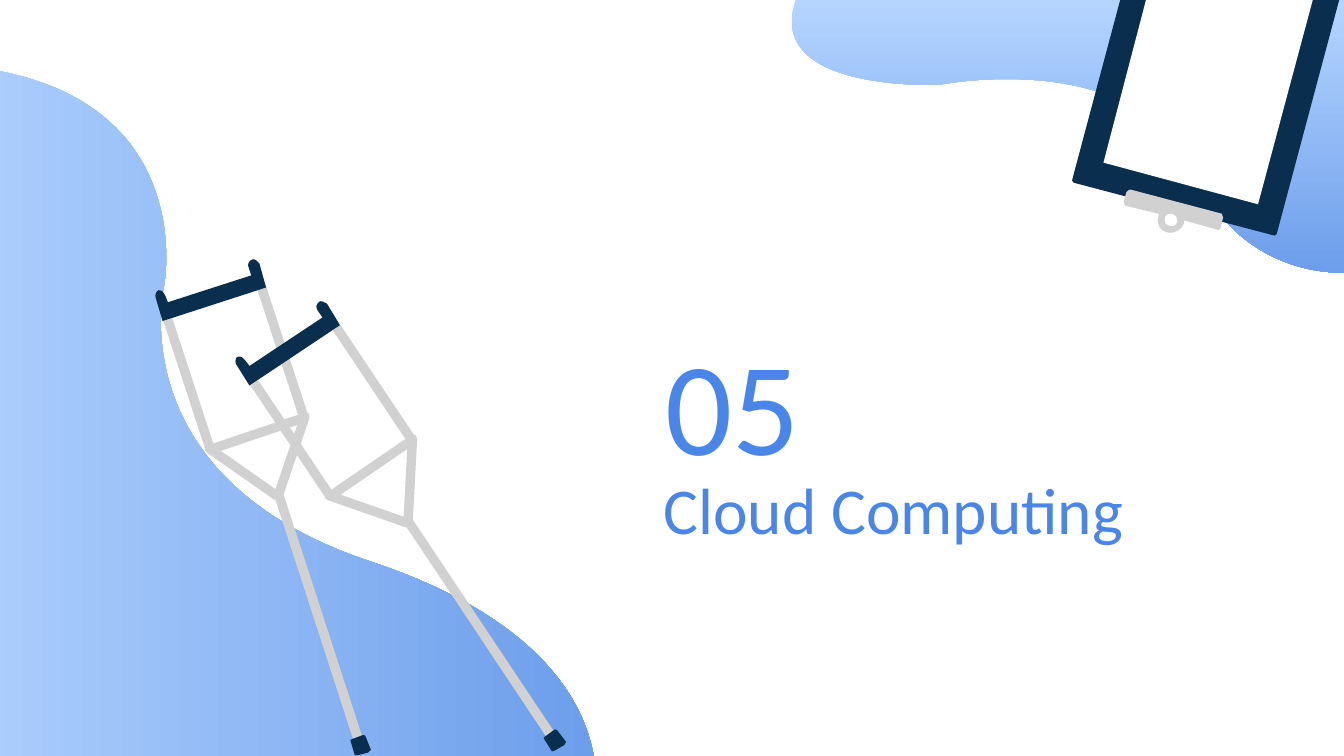
from math import atan2, cos, degrees, radians, sin

from lxml import etree
from pptx import Presentation
from pptx.dml.color import RGBColor
from pptx.enum.text import MSO_ANCHOR, PP_ALIGN
from pptx.oxml.ns import qn
from pptx.util import Cm, Pt

TOP = MSO_ANCHOR.TOP
LEFT = PP_ALIGN.LEFT

COLORS = {"title": "4A86E8", "light": "B5D5FF", "deep": "6D9EEB",
          "navy": "0A2E4E", "grey": "D1D1D1", "white": "FFFFFF"}
UNIT = 2.54       # one layout unit in centimetres
CURVE_STEPS = 16  # samples used to measure a curve
CLIPBOARD_TURN = 195

# Contours: a start point, then line ends (x, y) or curves (two controls, end)
LEFT_BLOB = [(4.42, 5.64), (4.36, 5.28, 4.08, 4.62, 2.76, 4.18),
             (0.88, 3.56, 1.22, 2.13, 1.22, 2.13),
             (1.22, 2.13, 1.56, 0.36, -0.86, 0.48), (-0.86, 5.63)]
TOP_BLOB = [(10, 2.03), (9.69, 2.03, 9.17, 1.91, 8.88, 1.28),
            (8.46, 0.34, 6.99, 0.63, 6.99, 0.63),
            (6.99, 0.63, 5.68, 0.69, 5.92, 0), (10, 0)]
HANDLE = [(1.89, 1.93), (1.9, 1.93, 1.92, 1.95, 1.93, 1.96), (1.98, 2.14),
          (1.21, 2.39), (1.16, 2.22), (1.15, 2.2, 1.16, 2.17, 1.18, 2.16),
          (1.21, 2.16, 1.22, 2.18, 1.23, 2.2), (1.25, 2.25), (1.87, 2.05),
          (1.85, 1.99), (1.84, 1.97, 1.85, 1.94, 1.88, 1.93)]
FOOT = [(2.71, 5.47), (2.72, 5.47, 2.72, 5.47, 2.72, 5.48), (2.76, 5.58),
        (2.76, 5.58, 2.75, 5.59, 2.74, 5.6), (2.66, 5.62),
        (2.65, 5.62, 2.64, 5.62, 2.64, 5.62), (2.61, 5.52),
        (2.6, 5.51, 2.61, 5.5, 2.62, 5.5), (2.7, 5.47)]
BOARD = [(7.99, 1.36), (7.98, 1.35, 7.97, 1.34, 7.98, 1.33), (8.46, -0.47),
         (8.46, -0.48, 8.47, -0.48, 8.48, -0.48), (9.96, -0.08),
         (9.98, -0.08, 9.98, -0.07, 9.98, -0.06), (9.5, 1.74),
         (9.49, 1.75, 9.48, 1.76, 9.47, 1.75)]
PAPER = [(8.21, 1.21), (8.61, -0.32), (9.77, -0.01), (9.36, 1.52)]
CLASP_HOLE = [(8.7, 1.68), (8.72, 1.69, 8.75, 1.68, 8.76, 1.65),
              (8.76, 1.62, 8.75, 1.6, 8.72, 1.59),
              (8.68, 1.58, 8.65, 1.62, 8.67, 1.66),
              (8.68, 1.67, 8.69, 1.68, 8.7, 1.68)]
CLASP = [(8.69, 1.73), (8.63, 1.72, 8.6, 1.66, 8.62, 1.61),
         (8.62, 1.6, 8.62, 1.6, 8.62, 1.59), (8.37, 1.53),
         (8.36, 1.52, 8.36, 1.51, 8.36, 1.5), (8.38, 1.43),
         (8.39, 1.42, 8.4, 1.41, 8.41, 1.41), (9.09, 1.59),
         (9.1, 1.6, 9.1, 1.61, 9.1, 1.62), (9.08, 1.7),
         (9.08, 1.71, 9.07, 1.71, 9.06, 1.71), (8.81, 1.64),
         (8.81, 1.65, 8.81, 1.65, 8.81, 1.66),
         (8.79, 1.71, 8.74, 1.74, 8.69, 1.73)]

# Crutch bars: start, end
RAILS = [((1.95, 2.15), (2.26, 3.1)), ((1.25, 2.38), (1.56, 3.33)),
         ((2.07, 3.67), (2.68, 5.55))]
BRACES = [((2.27, 3.1), (2.07, 3.69)), ((1.56, 3.34), (2.06, 3.69)),
          ((1.58, 3.34), (2.26, 3.11))]
BAR_WIDTH = 0.07
CRUTCH_PIVOT = (1.98, 2.14)
# Each crutch: turn about the pivot, then shift
CRUTCHES = [(0, (0, 0)), (-15.7, (0.55, 0.28))]


def length(value):
    return Cm(value * UNIT)


def color(name):
    return RGBColor.from_string(COLORS[name])


def pairs(segment):
    return list(zip(segment[::2], segment[1::2]))


def turn(point, pivot, angle):
    x, y = point[0] - pivot[0], point[1] - pivot[1]
    c, s = cos(radians(angle)), sin(radians(angle))
    return pivot[0] + x * c - y * s, pivot[1] + x * s + y * c


def move(contour, pivot, angle, shift=(0, 0)):
    """Turn every point of a contour, then shift it."""
    moved = []
    for segment in contour:
        points = [turn(point, pivot, angle) for point in pairs(segment)]
        moved.append(tuple(value for x, y in points
                           for value in (x + shift[0], y + shift[1])))
    return moved


def samples(contour):
    """Points along a contour, for measuring its extent."""
    points = [contour[0]]
    for segment in contour[1:]:
        corners = [points[-1], *pairs(segment)]
        if len(corners) == 2:
            points.append(segment)
            continue
        for step in range(1, CURVE_STEPS + 1):
            t = step / CURVE_STEPS
            weights = ((1 - t) ** 3, 3 * t * (1 - t) ** 2, 3 * t * t * (1 - t), t ** 3)
            points.append(tuple(sum(w * p[axis] for w, p in zip(weights, corners))
                                for axis in (0, 1)))
    return points


def bar(start, end, rounded):
    """Contour of a bar along a centre line, with flat or round ends."""
    span = ((end[0] - start[0]) ** 2 + (end[1] - start[1]) ** 2) ** 0.5
    half, bulge = BAR_WIDTH / 2, BAR_WIDTH * 2 / 3
    near, far = (0, half), (span, half)
    if rounded:
        near = (-bulge, half, -bulge, -half, 0, -half)
        far = (span + bulge, -half, span + bulge, half, span, half)
    contour = [(0, -half), (span, -half), far, (0, half)] + [near] * rounded
    heading = degrees(atan2(end[1] - start[1], end[0] - start[0]))
    return move(contour, (0, 0), heading, start)


def add_outline(shapes, contours, fill, rotation=0):
    contours = [move(contour, (0, 0), -rotation) for contour in contours]
    xs, ys = zip(*(point for contour in contours for point in samples(contour)))
    left, top = min(xs), min(ys)
    width, height = max(xs) - left, max(ys) - top
    center = turn((left + width / 2, top + height / 2), (0, 0), rotation)
    place = {"left": center[0] - width / 2, "top": center[1] - height / 2,
             "width": width, "height": height}

    builder = shapes.build_freeform(length(place["left"]), length(place["top"]))
    builder.add_line_segments([(length(place["left"] + width),
                                length(place["top"] + height))])
    shape = builder.convert_to_shape()
    for name, value in place.items():
        setattr(shape, name, length(value))
    shape.rotation = rotation

    # Real curves in the outline
    outline = shape._element.find(".//" + qn("a:path"))
    for child in list(outline):
        outline.remove(child)
    outline.set("w", str(length(width)))
    outline.set("h", str(length(height)))
    for contour in contours:
        for index, segment in enumerate(contour):
            tag = "a:cubicBezTo" if len(segment) == 6 else "a:lnTo"
            command = etree.SubElement(outline, qn(tag if index else "a:moveTo"))
            for x, y in pairs(segment):
                etree.SubElement(command, qn("a:pt"), x=str(length(x - left)),
                                 y=str(length(y - top)))
        etree.SubElement(outline, qn("a:close"))

    shape.shadow.inherit = False
    shape.line.fill.background()
    shape.fill.solid()
    shape.fill.fore_color.rgb = color(fill)
    return shape


def add_blob(slide, contour, angle, rotation):
    shape = add_outline(slide.shapes, [contour], "light", rotation)
    shape.fill.gradient()
    shape.fill.gradient_angle = angle
    for stop, name in zip(shape.fill.gradient_stops, ("light", "deep")):
        stop.color.rgb = color(name)


def add_title(slide, text, box, size):
    shape = slide.shapes.add_textbox(*map(length, box))
    frame = shape.text_frame
    settings = {"word_wrap": True, "vertical_anchor": TOP}
    settings.update({f"margin_{side}": length(0.1)
                     for side in ("left", "top", "right", "bottom")})
    for name, value in settings.items():
        setattr(frame, name, value)
    paragraph = frame.paragraphs[0]
    paragraph.alignment = LEFT
    run = paragraph.add_run()
    run.text = text
    for name, value in {"name": "Calibri", "size": Pt(size)}.items():
        setattr(run.font, name, value)
    run.font.color.rgb = color("title")


def add_crutch(shapes, angle, shift):
    parts = [(bar(*rail, False), "grey") for rail in RAILS]
    parts.append((HANDLE, "navy"))
    parts += [(bar(*brace, True), "grey") for brace in BRACES]
    parts.append((FOOT, "navy"))
    for contour, fill in parts:
        add_outline(shapes, [move(contour, CRUTCH_PIVOT, angle, shift)], fill)


def main():
    presentation = Presentation()
    presentation.slide_width = Cm(25.4)
    presentation.slide_height = Cm(14.29)
    slide = presentation.slides.add_slide(presentation.slide_layouts[6])

    # Background blobs
    add_blob(slide, LEFT_BLOB, 0, 0)
    add_blob(slide, TOP_BLOB, 90, 180)

    # Section title and number
    add_title(slide, "Cloud Computing", (4.84, 3.39, 4.37, 0.67), 35)
    add_title(slide, "05", (4.85, 2.3, 4.37, 1.05), 71)

    # Crutches
    crutches = slide.shapes.add_group_shape()
    for angle, shift in CRUTCHES:
        add_crutch(crutches.shapes, angle, shift)

    # Clipboard
    clipboard = slide.shapes.add_group_shape()
    for contours, fill in (([BOARD], "navy"), ([PAPER], "white"),
                           ([CLASP_HOLE, CLASP], "grey")):
        add_outline(clipboard.shapes, contours, fill, CLIPBOARD_TURN)

    presentation.save("out.pptx")


if __name__ == "__main__":
    main()
